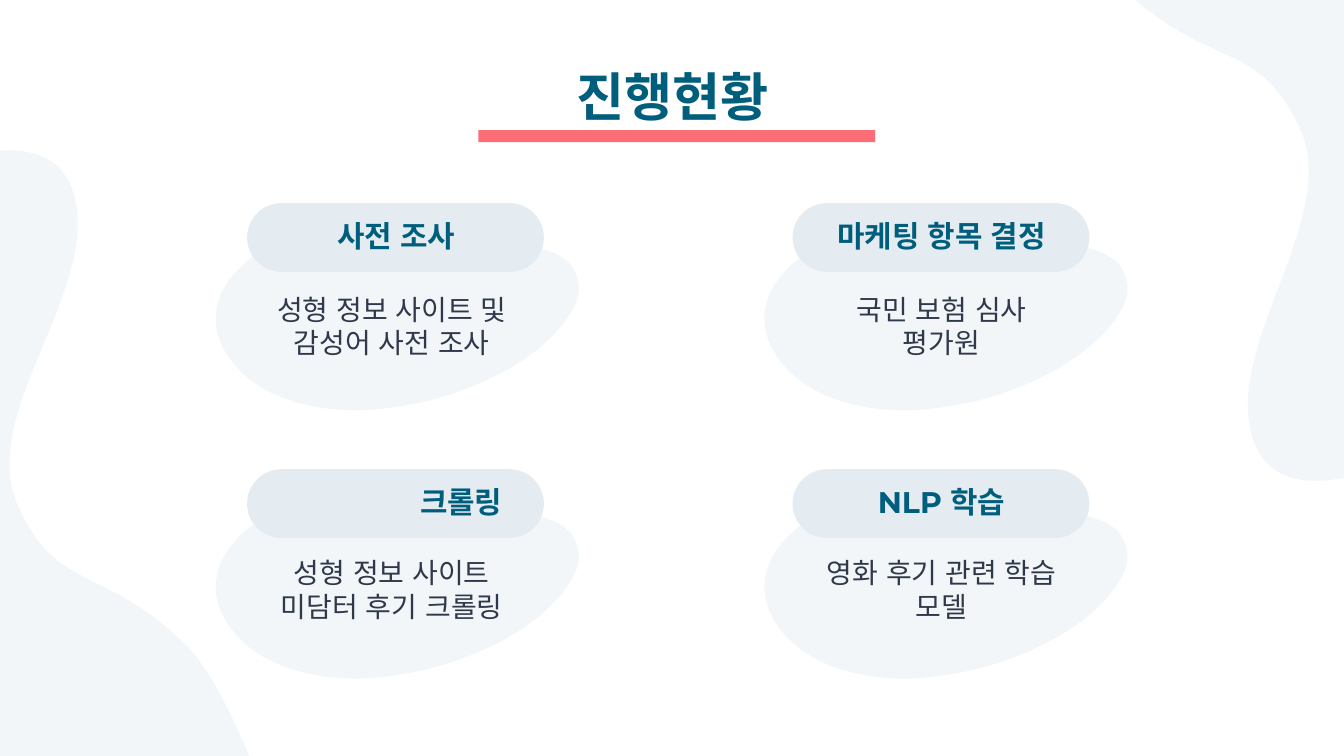
from itertools import product

from lxml.etree import SubElement
from pptx import Presentation
from pptx.dml.color import RGBColor
from pptx.enum.lang import MSO_LANGUAGE_ID
from pptx.enum.shapes import MSO_SHAPE
from pptx.enum.text import MSO_ANCHOR, MSO_AUTO_SIZE, PP_ALIGN
from pptx.oxml.ns import qn
from pptx.util import Cm, Pt

COLORS = {
    "teal": "005E7D",
    "coral": "FC6D78",
    "text": "30394B",
    "pill": "E4ECF1",
    "blob": "F2F6F8",
}
FORMATS = {
    "title": {"size": Pt(28), "bold": True, "color": "teal"},
    "label": {"size": Pt(16), "bold": True, "color": "teal"},
    "detail": {"size": Pt(15), "bold": False, "color": "text"},
}
CARDS = [
    ("사전 조사", "성형 정보 사이트 및 감성어 사전 조사"),
    ("마케팅 항목 결정", "국민 보험 심사 평가원"),
    ("\t크롤링", "성형 정보 사이트 미담터 후기 크롤링"),
    ("NLP 학습", "영화 후기 관련 학습 모델"),
]

# Closed outlines in cm: a start point, then three points per Bézier curve.
CARD_OUTLINE = [
    (1.24, 0.10),
    (1.04, 0.13), (0.84, 0.20), (0.71, 0.33),
    (0.46, 0.53), (0.28, 0.74), (0.18, 0.94),
    (-0.05, 1.40), (0.03, 1.88), (0.36, 2.29),
    (0.84, 2.92), (1.80, 3.25), (2.92, 3.20),
    (3.25, 3.18), (3.61, 3.12), (3.96, 3.05),
    (5.16, 2.77), (6.32, 2.13), (6.78, 1.32),
    (6.86, 1.19), (6.91, 1.04), (6.91, 0.91),
    (6.91, 0.76), (6.86, 0.61), (6.76, 0.46),
    (6.58, 0.25), (6.22, 0.13), (5.84, 0.08),
    (5.23, 0), (4.55, 0.13), (3.89, 0.13),
    (3.38, 0.13), (2.72, 0.10), (2.21, 0.05),
    (1.90, 0.03), (1.55, 0.03), (1.24, 0.10),
]
RIGHT_OUTLINE = [
    (9.73, 2.46),
    (8.31, 1.09), (6.71, 1.50), (5.23, 1.30),
    (3.76, 1.09), (0.03, -0.81), (0.89, 0.03),
    (1.42, 0.53), (2.46, 3.96), (3.51, 4.93),
    (5.16, 6.43), (5.99, 5.82), (6.78, 7.49),
    (7.57, 9.14), (5.41, 11.51), (5.87, 13.28),
    (6.20, 14.48), (7.49, 14.45), (9.83, 13.28),
    (10.97, 13.11), (8.41, 8.53), (9.47, 7.34),
    (10.69, 5.97), (11.02, 3.73), (9.73, 2.46),
]
LEFT_OUTLINE = [
    (1.04, 11.91),
    (2.41, 13.34), (4.04, 12.98), (5.49, 13.23),
    (6.93, 13.49), (10.64, 15.49), (9.78, 14.63),
    (9.30, 14.10), (8.36, 10.67), (7.32, 9.65),
    (5.74, 8.10), (4.88, 8.69), (4.14, 6.99),
    (3.40, 5.31), (5.64, 3.00), (5.23, 1.22),
    (4.95, 0.03), (3.63, 0), (1.27, 1.12),
    (0.13, 1.24), (2.54, 5.89), (1.45, 7.04),
    (0.18, 8.38), (-0.23, 10.61), (1.04, 11.91),
]


def grid(left, top, column_pitch, row_pitch):
    """Return the corners of the two-by-two grid, row by row."""
    return [(left + column * column_pitch, top + row * row_pitch)
            for row, column in product(range(2), repeat=2)]


def paint(shape, color):
    shape.shadow.inherit = False
    shape.fill.solid()
    shape.fill.fore_color.rgb = RGBColor.from_string(COLORS[color])
    shape.line.fill.background()


def bend(shape):
    """Turn every three line segments of a freeform into one Bézier curve."""
    segments = list(shape._element.iter(qn("a:lnTo")))
    for index in range(0, len(segments), 3):
        first, *others = segments[index:index + 3]
        curve = first.makeelement(qn("a:cubicBezTo"))
        first.addprevious(curve)
        for segment in (first, *others):
            curve.append(segment[0])
            segment.getparent().remove(segment)


def add_blob(slide, left, top, outline):
    points = [(Cm(left + x), Cm(top + y)) for x, y in outline]
    builder = slide.shapes.build_freeform(*points[0], scale=1.0)
    builder.add_line_segments(points[1:], close=True)
    blob = builder.convert_to_shape()
    bend(blob)
    paint(blob, "blob")


def write(shape, text, style, anchor=MSO_ANCHOR.MIDDLE):
    frame = shape.text_frame
    frame_format = {"word_wrap": True, "auto_size": MSO_AUTO_SIZE.NONE, "vertical_anchor": anchor}
    frame_format.update({f"margin_{side}": Cm(0.25) for side in ("left", "top", "right", "bottom")})
    for name, value in frame_format.items():
        setattr(frame, name, value)
    paragraph = frame.paragraphs[0]
    paragraph.alignment = PP_ALIGN.CENTER
    if text.startswith("\t"):
        paragraph.alignment = PP_ALIGN.LEFT
        tabs = SubElement(paragraph._p.get_or_add_pPr(), qn("a:tabLst"))
        SubElement(tabs, qn("a:tab"), pos=str(Cm(2.54)), algn="l")
    run = paragraph.add_run()
    run.text = text
    font_format = {"name": "Montserrat", "language_id": MSO_LANGUAGE_ID.KOREAN, **FORMATS[style]}
    color = font_format.pop("color")
    for name, value in font_format.items():
        setattr(run.font, name, value)
    run.font.color.rgb = RGBColor.from_string(COLORS[color])


def add_title(slide, left, top, width, height):
    title = slide.shapes.title
    box = {"left": left, "top": top, "width": width, "height": height}
    for name, value in box.items():
        setattr(title, name, Cm(value))
    write(title, "진행현황", "title", MSO_ANCHOR.TOP)
    underline = slide.shapes.add_shape(
        MSO_SHAPE.RECTANGLE, Cm(left + 7.03), Cm(top + 1.49), Cm(7.5), Cm(0.23))
    paint(underline, "coral")


def add_detail(slide, left, top, text):
    box = slide.shapes.add_textbox(Cm(left), Cm(top), Cm(5.21), Cm(1.4))
    write(box, text, "detail")


def add_label(slide, left, top, text):
    pill = slide.shapes.add_shape(MSO_SHAPE.ROUNDED_RECTANGLE, Cm(left), Cm(top), Cm(5.61), Cm(1.3))
    pill.adjustments[0] = 0.5
    paint(pill, "pill")
    box = slide.shapes.add_textbox(Cm(left + 0.48), Cm(top + 0.28), Cm(4.67), Cm(0.66))
    write(box, text, "label")


def main():
    presentation = Presentation()
    presentation.slide_width = Cm(25.4)
    presentation.slide_height = Cm(14.29)
    slide = presentation.slides.add_slide(presentation.slide_layouts[5])

    add_blob(slide, 17.78, -5.08, RIGHT_OUTLINE)
    add_blob(slide, -3.81, 2.54, LEFT_OUTLINE)
    for corner in grid(4.03, 4.55, 10.37, 5.07):
        add_blob(slide, *corner, CARD_OUTLINE)
    add_title(slide, 2.01, 0.97, 21.41, 1.6)
    for corner, (_, detail) in zip(grid(4.8, 5.46, 10.39, 4.98), CARDS):
        add_detail(slide, *corner, detail)
    for corner, (label, _) in zip(grid(4.67, 3.84, 10.31, 5.03), CARDS):
        add_label(slide, *corner, label)

    presentation.save("out.pptx")


if __name__ == "__main__":
    main()
